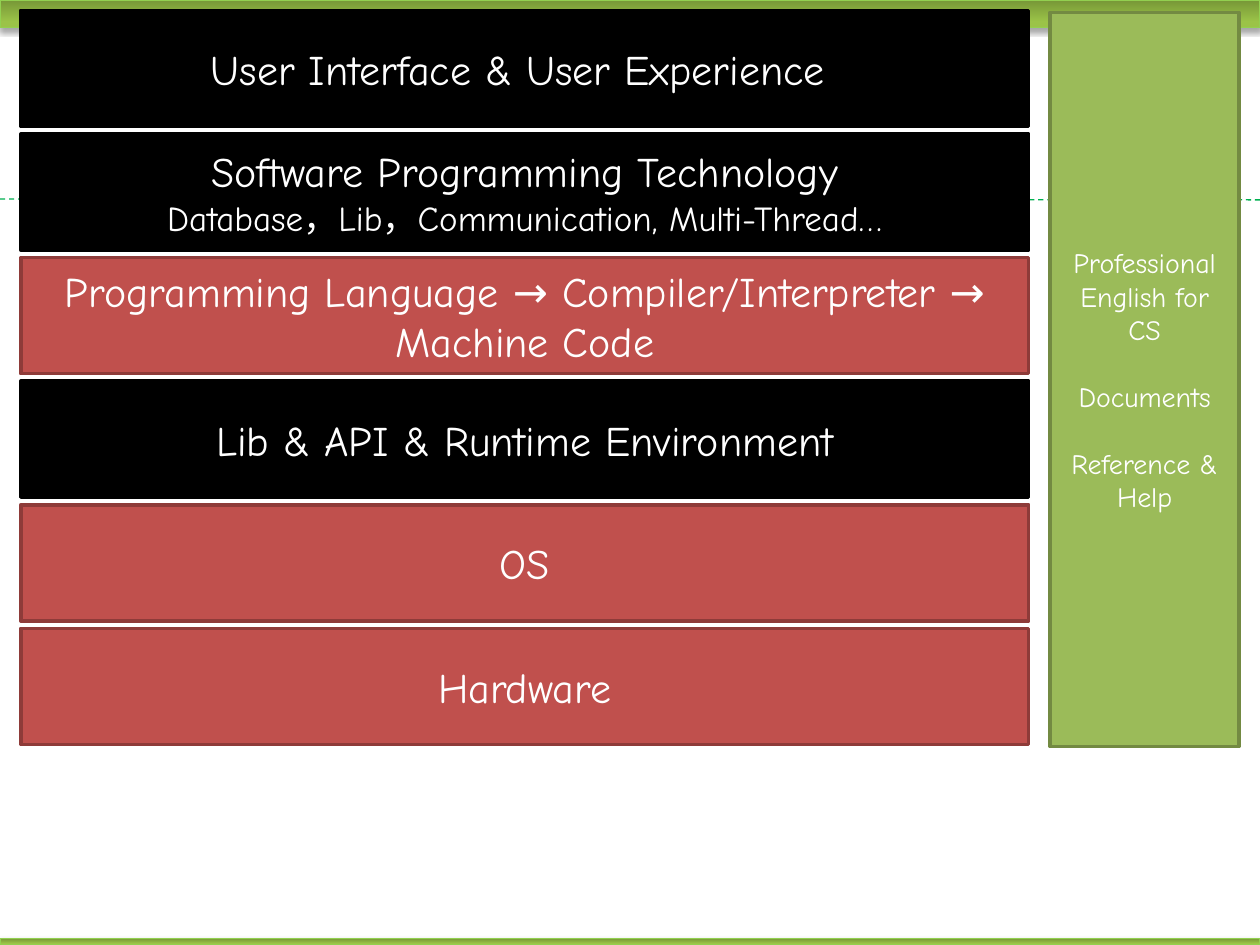
import pptx
import pptx.dml.color
import pptx.enum.dml
import pptx.enum.shapes
import pptx.enum.text
import pptx.oxml
import pptx.oxml.ns
import pptx.util

Cm = pptx.util.Cm
Pt = pptx.util.Pt

FONT = "Comic Neue"
WHITE = "FFFFFF"
BLACK = ("000000", "000000")
RED = ("C0504D", "8E3B39")
GREEN = ("9BBB59", "738A42")
SLIDE_WIDTH, SLIDE_HEIGHT = 25.4, 19.05

# Each layer: fill and outline, then its lines as (text, size, space before).
LAYERS = [
    (BLACK, [("User Interface & User Experience ", 24, 0)]),
    (BLACK, [("Software Programming Technology", 24, 0),
             ("Database，Lib，Communication, Multi-Thread…", 20, 0)]),
    (RED, [("Programming Language → Compiler/Interpreter → Machine Code", 24, 0)]),
    (BLACK, [("Lib & API & Runtime Environment", 24, 0)]),
    (RED, [("OS", 24, 0)]),
    (RED, [("Hardware", 24, 0)]),
]
SKILLS = [
    ("Professional English for CS", 16, 0),
    ("Documents", 16, 19),
    ("Reference &", 16, 19),
    ("Help", 16, 0),
]


def color(hex_code):
    return pptx.dml.color.RGBColor.from_string(hex_code)


def add_rectangle(slide, left, top, width, height, outline, weight):
    rectangle = slide.shapes.add_shape(
        pptx.enum.shapes.MSO_SHAPE.RECTANGLE, Cm(left), Cm(top), Cm(width), Cm(height))
    rectangle.shadow.inherit = False
    rectangle.line.color.rgb = color(outline)
    rectangle.line.width = Pt(weight)
    return rectangle


def add_block(slide, left, top, width, height, colors, lines):
    fill, outline = colors
    block = add_rectangle(slide, left, top, width, height, outline, 2)
    block.fill.solid()
    block.fill.fore_color.rgb = color(fill)
    frame = block.text_frame
    frame.word_wrap = True
    frame.vertical_anchor = pptx.enum.text.MSO_ANCHOR.MIDDLE
    for index, (text, size, space_before) in enumerate(lines):
        paragraph = frame.add_paragraph() if index else frame.paragraphs[0]
        paragraph.text = text
        paragraph.alignment = pptx.enum.text.PP_ALIGN.CENTER
        paragraph.space_before = Pt(space_before)
        paragraph.font.name = FONT
        paragraph.font.size = Pt(size)
        paragraph.font.color.rgb = color(WHITE)


def add_layer_stack(slide, left, top, width, height):
    gap = 0.15
    layer_height = (height - gap * (len(LAYERS) - 1)) / len(LAYERS)
    for index, (colors, lines) in enumerate(LAYERS):
        layer_top = top + index * (layer_height + gap)
        add_block(slide, left, layer_top, width, layer_height, colors, lines)


def add_edge_bar(slide, left, top, width, height):
    """Add a green gradient bar with a soft shadow below it."""
    bar = add_rectangle(slide, left, top, width, height, "92D050", 0.75)
    bar.fill.gradient()
    bar.fill.gradient_angle = 270
    stops = [(0, "779737"), (0.8, "9BC348")]
    for stop, (position, hex_code) in zip(bar.fill.gradient_stops, stops):
        stop.position = position
        stop.color.rgb = color(hex_code)
    effects = bar._element.spPr.find(pptx.oxml.ns.qn("a:effectLst"))
    effects.append(pptx.oxml.parse_xml(
        f'<a:outerShdw {pptx.oxml.ns.nsdecls("a")} blurRad="{Pt(3.1)}" dist="{Pt(1.8)}"'
        ' dir="5400000" rotWithShape="0"><a:srgbClr val="000000">'
        '<a:alpha val="35000"/></a:srgbClr></a:outerShdw>'))


def add_dashed_rule(slide, left, top, width, drop):
    rule = slide.shapes.add_connector(
        pptx.enum.shapes.MSO_CONNECTOR.STRAIGHT,
        Cm(left), Cm(top), Cm(left + width), Cm(top + drop))
    rule.line.color.rgb = color("00B050")
    rule.line.width = Pt(0.75)
    rule.line.dash_style = pptx.enum.dml.MSO_LINE.DASH
    rule._element.spPr.append(pptx.oxml.parse_xml(
        f'<a:effectLst {pptx.oxml.ns.nsdecls("a")}/>'))


def main():
    presentation = pptx.Presentation()
    presentation.slide_width = Cm(SLIDE_WIDTH)
    presentation.slide_height = Cm(SLIDE_HEIGHT)
    slide = presentation.slides.add_slide(presentation.slide_layouts[6])

    add_edge_bar(slide, 0, 0, SLIDE_WIDTH, 0.56)
    add_dashed_rule(slide, 0, 4.01, SLIDE_WIDTH, 0.02)
    add_edge_bar(slide, 0, 18.92, SLIDE_WIDTH, 0.13)
    add_layer_stack(slide, 0.42, 0.21, 20.32, 14.8)
    add_block(slide, 21.17, 0.25, 3.81, 14.8, GREEN, SKILLS)

    presentation.save("out.pptx")


if __name__ == "__main__":
    main()
